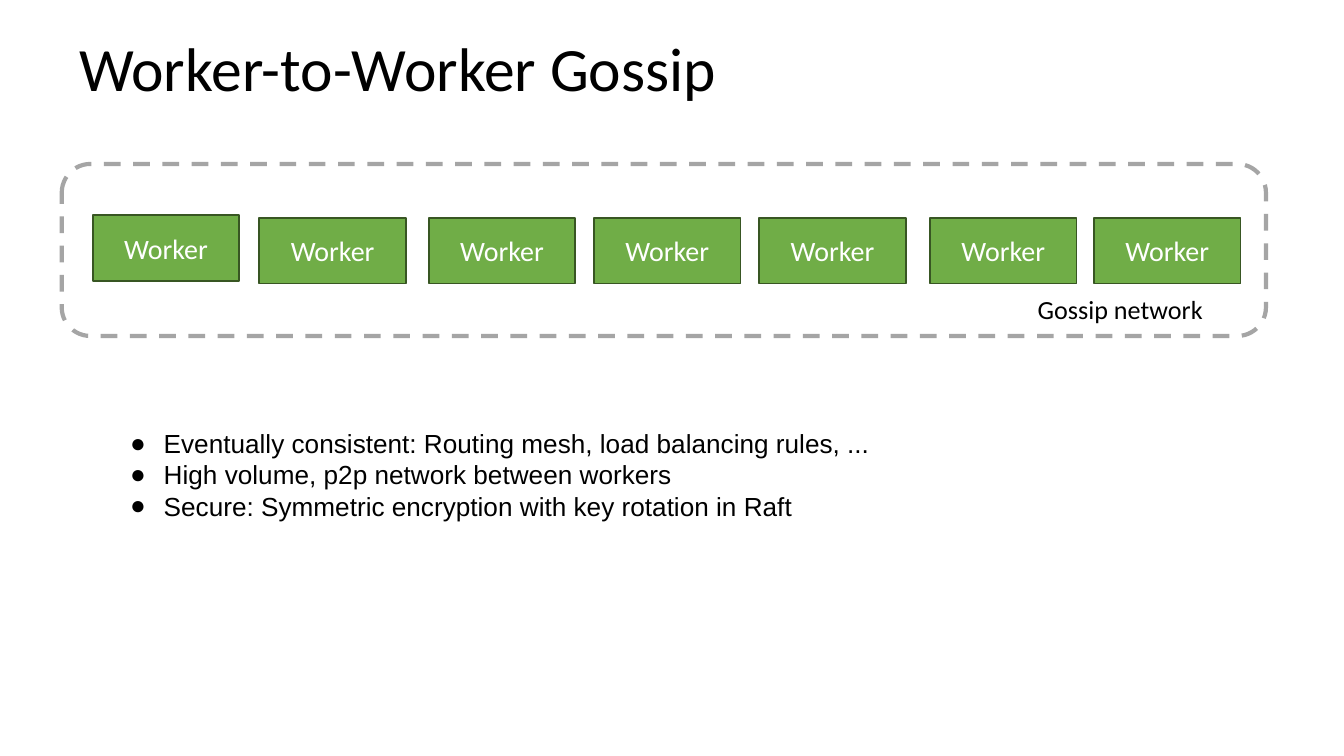
from dataclasses import dataclass

from lxml.etree import Element
from pptx import Presentation
from pptx.dml.color import RGBColor
from pptx.enum.dml import MSO_LINE_DASH_STYLE as Dash
from pptx.enum.shapes import MSO_SHAPE as Shape
from pptx.enum.text import MSO_ANCHOR as Anchor, PP_ALIGN as Align
from pptx.oxml.ns import qn
from pptx.util import Inches, Pt


@dataclass(frozen=True)
class Theme:
    heading_font: str = "Calibri"
    body_font: str = "Arial"
    text: RGBColor = RGBColor(0x00, 0x00, 0x00)
    worker_text: RGBColor = RGBColor(0xFF, 0xFF, 0xFF)
    worker_fill: RGBColor = RGBColor(0x70, 0xAD, 0x47)
    worker_line: RGBColor = RGBColor(0x38, 0x56, 0x23)
    network_line: RGBColor = RGBColor(0xA5, 0xA5, 0xA5)
    title_size: Pt = Pt(33)
    worker_size: Pt = Pt(15)
    body_size: Pt = Pt(14)


THEME = Theme()
SLIDE_WIDTH = 10
WORKER_CORNERS = (
    (0.69, 1.6), (1.93, 1.62), (3.19, 1.62), (4.42, 1.62),
    (5.65, 1.62), (6.92, 1.62), (8.14, 1.62),
)
BULLETS = (
    "Eventually consistent: Routing mesh, load balancing rules, ...",
    "High volume, p2p network between workers",
    "Secure: Symmetric encryption with key rotation in Raft",
)


def box(left, top, width, height):
    return [Inches(value) for value in (left, top, width, height)]


def style(paragraph, size, font=THEME.heading_font, color=THEME.text):
    paragraph.font.size = size
    paragraph.font.name = font
    paragraph.font.color.rgb = color


def add_text(slide, bounds, lines, size, font=THEME.heading_font,
             insets=(0.07, 0.04), anchor=Anchor.TOP):
    frame = slide.shapes.add_textbox(*box(*bounds)).text_frame
    frame.word_wrap = True
    frame.vertical_anchor = anchor
    frame.margin_left = frame.margin_right = Inches(insets[0])
    frame.margin_top = frame.margin_bottom = Inches(insets[1])
    frame.text = "\n".join(lines)
    for paragraph in frame.paragraphs:
        style(paragraph, size, font)
    return frame


def add_bullets(slide, bounds, lines):
    frame = add_text(slide, bounds, lines, THEME.body_size, THEME.body_font, (0.1, 0.1))
    for paragraph in frame.paragraphs:
        properties = paragraph._p.get_or_add_pPr()
        properties.set("marL", str(Inches(0.5)))
        properties.set("indent", str(Inches(-0.25)))
        properties.insert(0, Element(qn("a:buFont"), typeface=THEME.body_font))
        properties.insert(1, Element(qn("a:buChar"), char="●"))


def add_worker(slide, left, top):
    worker = slide.shapes.add_shape(Shape.RECTANGLE, *box(left, top, 1.09, 0.49))
    worker.shadow.inherit = False
    worker.fill.solid()
    worker.fill.fore_color.rgb = THEME.worker_fill
    worker.line.color.rgb = THEME.worker_line
    worker.line.width = Pt(1)
    frame = worker.text_frame
    frame.vertical_anchor = Anchor.MIDDLE
    frame.text = "Worker"
    paragraph = frame.paragraphs[0]
    paragraph.alignment = Align.CENTER
    style(paragraph, THEME.worker_size, color=THEME.worker_text)


def add_network(slide):
    network = slide.shapes.add_shape(Shape.ROUNDED_RECTANGLE, *box(0.46, 1.22, 8.96, 1.28))
    network.shadow.inherit = False
    network.fill.background()
    network.line.color.rgb = THEME.network_line
    network.line.width = Pt(2.25)
    network.line.dash_style = Dash.DASH


def main():
    presentation = Presentation()
    presentation.slide_width = Inches(SLIDE_WIDTH)
    presentation.slide_height = Inches(SLIDE_WIDTH * 9 / 16)
    slide = presentation.slides.add_slide(presentation.slide_layouts[6])

    for left, top in WORKER_CORNERS:
        add_worker(slide, left, top)
    title = add_text(slide, (0.52, 0.22, 8.62, 0.63), ["Worker-to-Worker Gossip"],
                     THEME.title_size, anchor=Anchor.MIDDLE)
    title.paragraphs[0].line_spacing = 0.9
    add_network(slide)
    add_text(slide, (7.65, 2.14, 1.49, 0.3), ["Gossip network"], THEME.body_size)
    add_bullets(slide, (0.62, 3.08, 8.77, 2.16), BULLETS)

    presentation.save("out.pptx")


if __name__ == "__main__":
    main()
